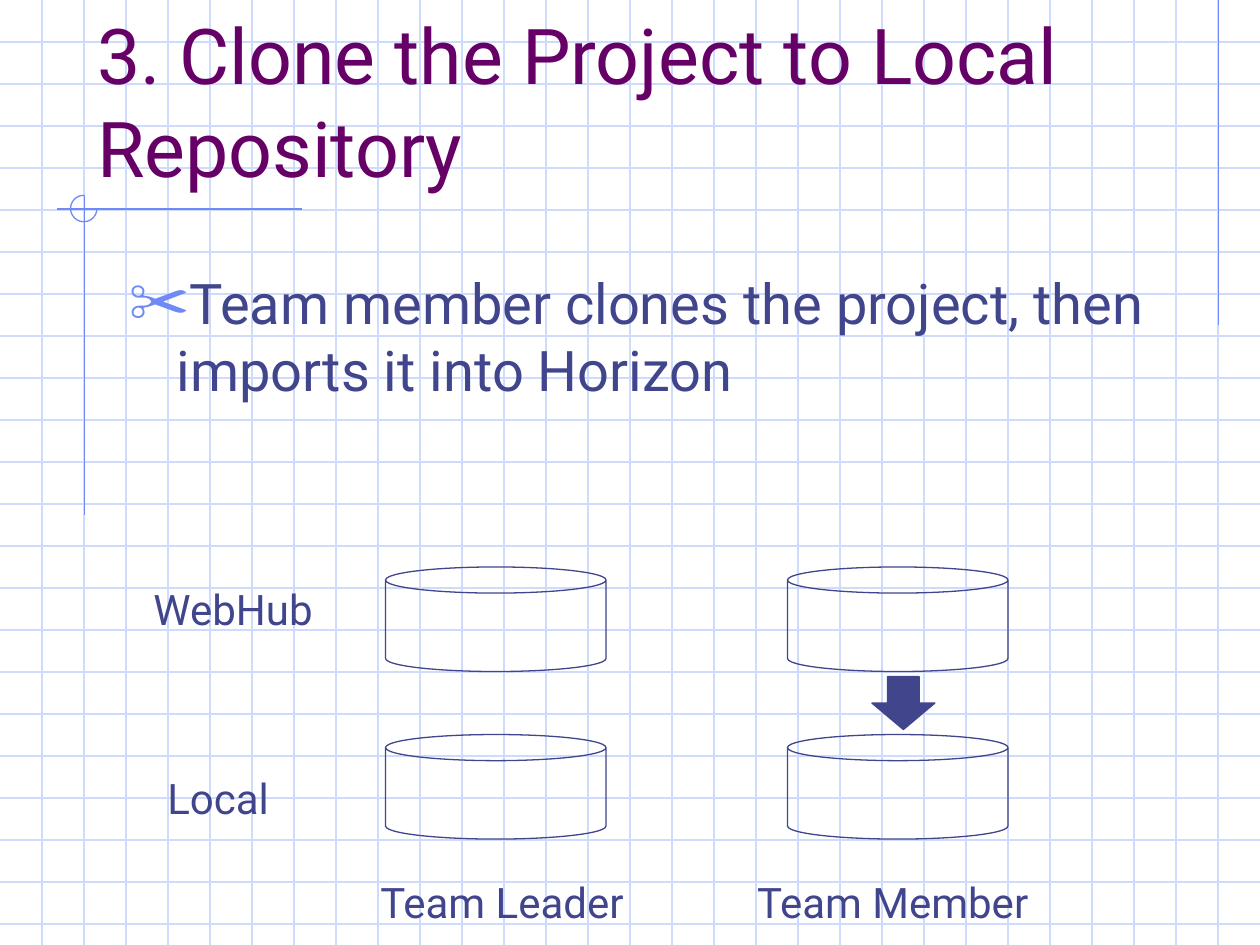
from lxml.etree import SubElement
from pptx import Presentation
from pptx.dml.color import RGBColor
from pptx.enum.shapes import MSO_CONNECTOR, MSO_SHAPE
from pptx.enum.text import MSO_ANCHOR, MSO_AUTO_SIZE, PP_ALIGN
from pptx.oxml.ns import qn
from pptx.util import Inches, Pt

COLORS = {"grid": "CFDBFD", "accent": "6F89F7", "title": "660066", "text": "40458C"}
FONT = "Roboto"
TITLE = "3. Clone the Project to Local Repository"
BULLET = "Team member clones the project, then imports it into Horizon"
LABELS = [
    ("WebHub", 1.12, 4.58, 1.5),
    ("Local", 1.23, 6.08, 1.01),
    ("Team Leader", 2.92, 6.91, 2.24),
    ("Team Member", 5.91, 6.91, 2.49),
]
COLUMNS = [3.06, 6.25]
ROWS = [4.5, 5.83]
CAN_W, CAN_H = 1.75, 0.83
ARROW_W, ARROW_H = 0.5, 0.42
SLIDE_W, SLIDE_H, GRID_STEP = 10, 7.5, 1 / 3
ACCENT_LINES = [
    (9.67, 0, 9.67, 2.58),
    (2.4, 1.66, 0.45, 1.66),
    (0.67, 1.55, 0.67, 4.09),
]


def rgb(name):
    return RGBColor.from_string(COLORS[name])


def add_line(s, ends, color):
    line = s.shapes.add_connector(MSO_CONNECTOR.STRAIGHT, *map(Inches, ends))
    line.line.color.rgb = rgb(color)
    line.line.width = Pt(0.75)
    SubElement(line.element.spPr, qn("a:effectLst"))


def add_outline(s, kind, box, color):
    sp = s.shapes.add_shape(kind, *map(Inches, box))
    sp.shadow.inherit = False
    sp.fill.background()
    sp.line.color.rgb = rgb(color)
    sp.line.width = Pt(0.75)
    return sp


def write(sp, text, size, color):
    p = sp.text_frame.paragraphs[0]
    p.alignment = PP_ALIGN.LEFT
    r = p.add_run()
    r.text = text
    r.font.name = FONT
    r.font.size = Pt(size)
    r.font.color.rgb = rgb(color)
    return p


def place(sp, box, anchor):
    sp.left, sp.top, sp.width, sp.height = map(Inches, box)
    tf = sp.text_frame
    tf.word_wrap = True
    tf.auto_size = MSO_AUTO_SIZE.NONE
    tf.vertical_anchor = anchor
    sp.element.getparent().append(sp.element)


def add_bullet(p):
    p.space_before = Pt(8)
    pPr = p._p.get_or_add_pPr()
    pPr.set("marL", str(Inches(0.38)))
    pPr.set("indent", str(-Inches(0.38)))
    clr = SubElement(pPr, qn("a:buClr"))
    SubElement(clr, qn("a:srgbClr"), val=COLORS["accent"])
    SubElement(pPr, qn("a:buSzPct"), val="110000")
    SubElement(pPr, qn("a:buChar"), char="✂")


def main():
    """Build the slide on cloning a project to a local repository."""
    prs = Presentation()
    prs.slide_width, prs.slide_height = Inches(SLIDE_W), Inches(SLIDE_H)
    s = prs.slides.add_slide(prs.slide_layouts[1])

    for i in range(1, 23):
        add_line(s, (0, i * GRID_STEP, SLIDE_W, i * GRID_STEP), "grid")
    for i in range(1, 30):
        add_line(s, (i * GRID_STEP, 0, i * GRID_STEP, SLIDE_H), "grid")
    for ends in ACCENT_LINES:
        add_line(s, ends, "accent")
    arc = add_outline(s, MSO_SHAPE.ARC, (0.56, 1.55, 0.21, 0.21), "accent")
    arc.adjustments[0], arc.adjustments[1] = 0, 162

    title, body = s.shapes.title, s.placeholders[1]
    place(title, (0.67, 0.33, 8.5, 1.25), MSO_ANCHOR.BOTTOM)
    write(title, TITLE, 44, "title")
    place(body, (0.92, 2.08, 8.5, 1.33), MSO_ANCHOR.TOP)
    add_bullet(write(body, BULLET, 32, "text"))

    for x in COLUMNS:
        for y in ROWS:
            can = add_outline(s, MSO_SHAPE.CAN, (x, y, CAN_W, CAN_H), "text")
            can.adjustments[0] = 0.25
    for text, x, y, w in LABELS:
        tb = s.shapes.add_textbox(Inches(x), Inches(y), Inches(w), Inches(0.5))
        tb.text_frame.word_wrap = False
        tb.text_frame.auto_size = MSO_AUTO_SIZE.SHAPE_TO_FIT_TEXT
        write(tb, text, 24, "text")

    gap_middle = (ROWS[0] + CAN_H + ROWS[1]) / 2
    arrow_box = (6.92, gap_middle - ARROW_H / 2, ARROW_W, ARROW_H)
    arrow = add_outline(s, MSO_SHAPE.DOWN_ARROW, arrow_box, "text")
    arrow.fill.solid()
    arrow.fill.fore_color.rgb = rgb("text")

    prs.save("out.pptx")


if __name__ == "__main__":
    main()
